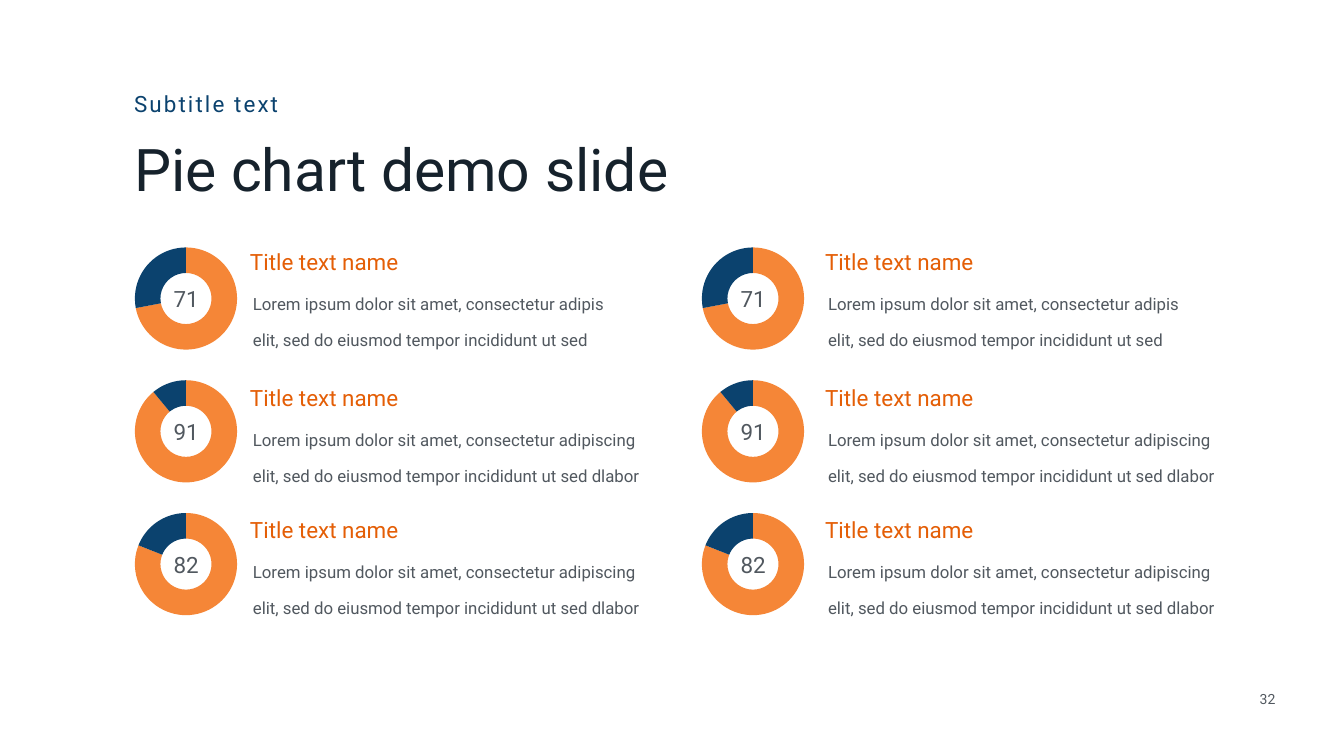
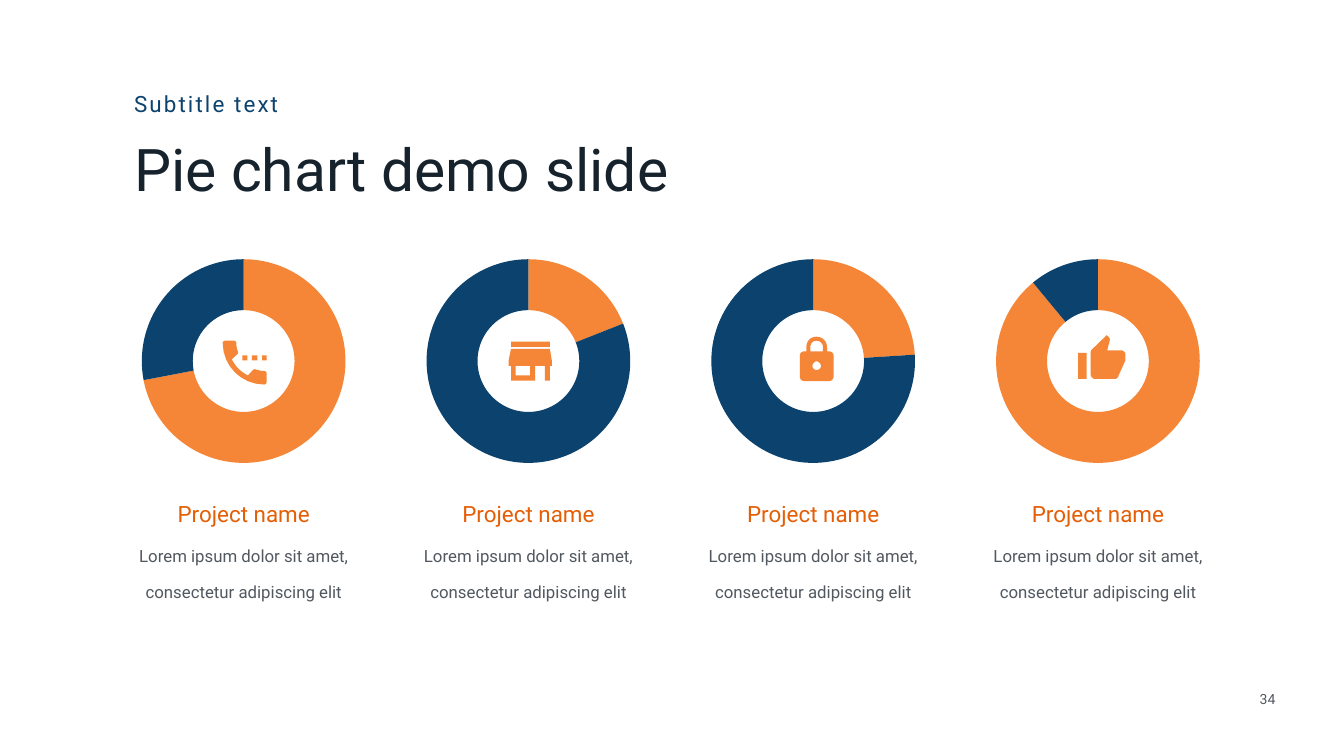
from dataclasses import dataclass

from lxml import etree
from pptx import Presentation
from pptx.chart.chart import Chart
from pptx.chart.data import CategoryChartData
from pptx.dml.color import RGBColor
from pptx.enum.chart import XL_CHART_TYPE
from pptx.enum.text import MSO_ANCHOR, MSO_AUTO_SIZE, PP_ALIGN
from pptx.oxml.ns import qn
from pptx.shapes.autoshape import Shape
from pptx.slide import Slide
from pptx.util import Pt

DOUGHNUT = XL_CHART_TYPE.DOUGHNUT
TOP, MIDDLE = MSO_ANCHOR.TOP, MSO_ANCHOR.MIDDLE
FIXED, GROW = MSO_AUTO_SIZE.NONE, MSO_AUTO_SIZE.SHAPE_TO_FIT_TEXT
LEFT, CENTER = PP_ALIGN.LEFT, PP_ALIGN.CENTER

ORANGE = RGBColor(0xF5, 0x86, 0x37)
DARK_ORANGE = RGBColor(0xE4, 0x5E, 0x06)
NAVY = RGBColor(0x0B, 0x42, 0x6E)
INK = RGBColor(0x16, 0x22, 0x2C)
GRAY = RGBColor(0x51, 0x58, 0x5F)
CHART_TEXT = RGBColor(0xFE, 0xFF, 0xFF)
WHITE = RGBColor(0xFF, 0xFF, 0xFF)

TEXT_FONT = "Roboto"
CHART_FONT = "Arial"
CURVE_STEPS = 8
ICON_UNIT = 0.72
ICON_PRECISION = 10

Contour = list[tuple[float, ...]]


@dataclass(frozen=True)
class Box:
    left: float
    top: float
    width: float
    height: float


@dataclass(frozen=True)
class TextStyle:
    size: float
    color: RGBColor
    inset: tuple[float, float] = (2.88, 2.88)
    anchor: MSO_ANCHOR = TOP
    auto_size: MSO_AUTO_SIZE = FIXED
    line_spacing: float = 1.0
    letter_spacing: int = 0


@dataclass(frozen=True)
class GaugeRow:
    share: int
    label: str
    heading_top: float
    body_width: float
    body: str


@dataclass(frozen=True)
class Icon:
    left: float
    top: float
    contours: list[Contour]


@dataclass(frozen=True)
class Project:
    share: int
    icon: Icon


TITLE_STYLE = TextStyle(84, INK)
SUBTITLE_STYLE = TextStyle(32, NAVY, anchor=MIDDLE, auto_size=GROW, letter_spacing=300)
HEADING_STYLE = TextStyle(32, DARK_ORANGE)
LABEL_STYLE = TextStyle(32, GRAY)
BODY_STYLE = TextStyle(24, GRAY, inset=(7.2, 3.6), auto_size=GROW, line_spacing=1.8)
NUMBER_STYLE = TextStyle(20, GRAY, auto_size=GROW)

TITLE_BOX = Box(188.6, 186.5, 771, 124.6)
SUBTITLE_BOX = Box(188.6, 126, 440.6, 44.6)
NUMBER_BOX = Box(1775.5, 983.5, 70.6, 30.2)

SHORT_BODY = "Lorem ipsum dolor sit amet, consectetur adipis elit, sed do eiusmod tempor incididunt ut sed"
LONG_BODY = (
    "Lorem ipsum dolor sit amet, consectetur adipiscing elit, "
    "sed do eiusmod tempor incididunt ut sed dlabor"
)
GAUGE_ROWS = [
    GaugeRow(72, "71", 352.1, 533.5, SHORT_BODY),
    GaugeRow(89, "91", 545.8, 583.2, LONG_BODY),
    GaugeRow(81, "82", 734.4, 583.2, LONG_BODY),
]
GAUGE_COLUMNS = [(180.7, 354.2), (990.7, 1175.8)]
GAUGE_TOP, GAUGE_PITCH = 344, 189.7
PROJECT_LEFT, PROJECT_PITCH = 188.6, 406.8


def rectangle(left: float, top: float, right: float, bottom: float) -> Contour:
    return [(left, top), (right, top), (right, bottom), (left, bottom)]


PHONE = Icon(129.6, 486.7, [
    rectangle(39, 29, 49, 39),
    rectangle(58, 29, 69, 39),
    rectangle(78, 29, 87, 39),
    [(82, 60), (77, 60, 71, 59, 65, 57), (64, 56, 62, 57, 60, 58), (50, 69),
     (36, 62, 25, 51, 18, 37), (29, 27), (30, 25, 31, 23, 30, 21),
     (28, 17, 27, 10, 27, 5), (27, 2, 25, 0, 22, 0), (6, 0), (2, 0, 0, 2, 0, 5),
     (0, 50, 37, 87, 82, 87), (85, 87, 87, 85, 87, 82), (87, 65),
     (87, 62, 85, 60, 82, 60)],
])
STORE = Icon(131.1, 488.2, [
    rectangle(5, 0, 82, 10),
    [(86, 48), (86, 38), (82, 14), (5, 14), (0, 38), (0, 48), (5, 48), (5, 77),
     (53, 77), (53, 48), (72, 48), (72, 77), (82, 77), (82, 48)],
    rectangle(14, 48, 43, 67),
])
LOCK = Icon(140.4, 481, [
    [(58, 29), (54, 29), (54, 21), (54, 9, 45, 0, 33, 0), (21, 0, 13, 9, 13, 21),
     (13, 29), (9, 29), (4, 29, 0, 33, 0, 37), (0, 79), (0, 84, 4, 88, 9, 88),
     (58, 88), (63, 88, 67, 84, 67, 79), (67, 37), (67, 33, 63, 29, 58, 29)],
    [(33, 66), (29, 66, 25, 63, 25, 58), (25, 54, 29, 49, 33, 49),
     (38, 49, 42, 54, 42, 58), (42, 63, 38, 66, 33, 66)],
    [(46, 29), (21, 29), (21, 21), (21, 13, 26, 8, 33, 8), (40, 8, 46, 13, 46, 21)],
])
THUMB = Icon(131.1, 478.8, [
    rectangle(0, 35, 17, 87),
    [(94, 39), (94, 34, 90, 30, 85, 30), (58, 30), (63, 10), (63, 9),
     (63, 7, 62, 5, 61, 4), (57, 0), (28, 28), (26, 29, 25, 32, 25, 35), (25, 78),
     (25, 82, 29, 87, 34, 87), (73, 87), (76, 87, 80, 84, 80, 81), (94, 50),
     (94, 49, 94, 49, 94, 47)],
])
PROJECTS = [Project(72, PHONE), Project(19, STORE), Project(24, LOCK), Project(89, THUMB)]


def write_text(shape: Shape, box: Box, text: str, style: TextStyle, alignment: PP_ALIGN = LEFT) -> None:
    shape.left, shape.top = Pt(box.left), Pt(box.top)
    shape.width, shape.height = Pt(box.width), Pt(box.height)
    frame = shape.text_frame
    frame.text = text
    frame.word_wrap = True
    frame.auto_size = style.auto_size
    frame.vertical_anchor = style.anchor
    frame.margin_left = frame.margin_right = Pt(style.inset[0])
    frame.margin_top = frame.margin_bottom = Pt(style.inset[1])
    paragraph = frame.paragraphs[0]
    paragraph.alignment = alignment
    paragraph.line_spacing = style.line_spacing
    paragraph.space_before = Pt(0)
    font = paragraph.runs[0].font
    font.name, font.size = TEXT_FONT, Pt(style.size)
    font.color.rgb = style.color
    if style.letter_spacing:
        paragraph.runs[0]._r.get_or_add_rPr().set("spc", str(style.letter_spacing))


def add_text(slide: Slide, box: Box, text: str, style: TextStyle, alignment: PP_ALIGN = LEFT) -> None:
    shape = slide.shapes.add_textbox(0, 0, 0, 0)
    write_text(shape, box, text, style, alignment)


def add_base_slide(presentation: Presentation, number: str) -> Slide:
    slide = presentation.slides.add_slide(presentation.slide_layouts[0])
    slide.background.fill.solid()
    slide.background.fill.fore_color.rgb = WHITE
    add_text(slide, NUMBER_BOX, number, NUMBER_STYLE, CENTER)
    write_text(slide.shapes.title, TITLE_BOX, "Pie chart demo slide", TITLE_STYLE)
    write_text(slide.placeholders[1], SUBTITLE_BOX, "Subtitle text", SUBTITLE_STYLE)
    return slide


def set_ring_layout(chart: Chart, box: Box, diameter: float) -> None:
    plot_area = chart._chartSpace.chart.plotArea
    for layout in plot_area.findall(qn("c:layout")):
        plot_area.remove(layout)
    layout = etree.Element(qn("c:layout"))
    plot_area.insert(0, layout)
    manual = etree.SubElement(layout, qn("c:manualLayout"))
    width, height = diameter / box.width, diameter / box.height
    settings = {
        "layoutTarget": "inner", "xMode": "edge", "yMode": "edge",
        "x": (1 - width) / 2, "y": (1 - height) / 2, "w": width, "h": height,
    }
    for name, value in settings.items():
        etree.SubElement(manual, qn(f"c:{name}")).set("val", str(value))


def add_ring(slide: Slide, box: Box, diameter: float, hole: int, share: int) -> None:
    data = CategoryChartData()
    data.categories = ["1", "2"]
    data.add_series("Series 1", [share, 100 - share])
    frame = slide.shapes.add_chart(
        DOUGHNUT, Pt(box.left), Pt(box.top), Pt(box.width), Pt(box.height), data
    )
    chart = frame.chart
    chart.has_legend = chart.has_title = False
    chart.font.name, chart.font.size = CHART_FONT, Pt(10)
    chart.font.color.rgb = CHART_TEXT
    plot = chart.plots[0]
    plot.vary_by_categories = True
    for index, color in enumerate([ORANGE, NAVY]):
        point_format = plot.series[0].points[index].format
        point_format.fill.solid()
        point_format.fill.fore_color.rgb = color
        point_format.line.fill.background()
    chart._chartSpace.find(".//" + qn("c:holeSize")).set("val", str(hole))
    set_ring_layout(chart, box, diameter)


def flatten(contour: Contour) -> list[tuple[float, float]]:
    points = [contour[0]]
    for segment in contour[1:]:
        if len(segment) == 2:
            points.append(segment)
            continue
        start, first, second, end = points[-1], segment[:2], segment[2:4], segment[4:]
        for step in range(1, CURVE_STEPS + 1):
            t = step / CURVE_STEPS
            u = 1 - t
            points.append(tuple(
                u**3 * a + 3 * u * u * t * b + 3 * u * t * t * c + t**3 * d
                for a, b, c, d in zip(start, first, second, end)
            ))
    return [(x * ICON_PRECISION, y * ICON_PRECISION) for x, y in points]


def add_icon(slide: Slide, icon: Icon, column_left: float) -> None:
    outlines = [flatten(contour) for contour in icon.contours]
    builder = slide.shapes.build_freeform(*outlines[0][0], scale=Pt(ICON_UNIT) / ICON_PRECISION)
    for index, points in enumerate(outlines):
        if index:
            builder.move_to(*points[0])
        builder.add_line_segments(points[1:], close=True)
    shape = builder.convert_to_shape(Pt(column_left + icon.left), Pt(icon.top))
    shape.shadow.inherit = False
    shape.fill.solid()
    shape.fill.fore_color.rgb = ORANGE
    shape.line.fill.background()


def build_gauge_slide(presentation: Presentation) -> None:
    slide = add_base_slide(presentation, "32")
    for ring_left, text_left in GAUGE_COLUMNS:
        for index, row in enumerate(GAUGE_ROWS):
            top = GAUGE_TOP + index * GAUGE_PITCH
            body_box = Box(text_left, row.heading_top + 41, row.body_width, 112.3)
            add_text(slide, body_box, row.body, BODY_STYLE)
            heading_box = Box(text_left, row.heading_top, 274.3, 62.6)
            add_text(slide, heading_box, "Title text name", HEADING_STYLE)
            add_ring(slide, Box(ring_left, top, 170, 165), 146, 72, row.share)
            label_box = Box(ring_left + 35, top + 60.5, 100.8, 62.6)
            add_text(slide, label_box, row.label, LABEL_STYLE, CENTER)


def build_project_slide(presentation: Presentation) -> None:
    slide = add_base_slide(presentation, "34")
    for index, project in enumerate(PROJECTS):
        left = PROJECT_LEFT + index * PROJECT_PITCH
        add_ring(slide, Box(left, 360.7, 319, 310.3), 291, 75, project.share)
        body = "Lorem ipsum dolor sit amet, consectetur adipiscing elit"
        add_text(slide, Box(left, 753.1, 319, 111.6), body, BODY_STYLE, CENTER)
        heading_box = Box(left + 22.4, 712.1, 274.3, 62.6)
        add_text(slide, heading_box, "Project name", HEADING_STYLE, CENTER)
        add_icon(slide, project.icon, left)


def main() -> None:
    presentation = Presentation()
    presentation.slide_width, presentation.slide_height = Pt(1920), Pt(1080)
    build_gauge_slide(presentation)
    build_project_slide(presentation)
    presentation.save("out.pptx")


if __name__ == "__main__":
    main()
